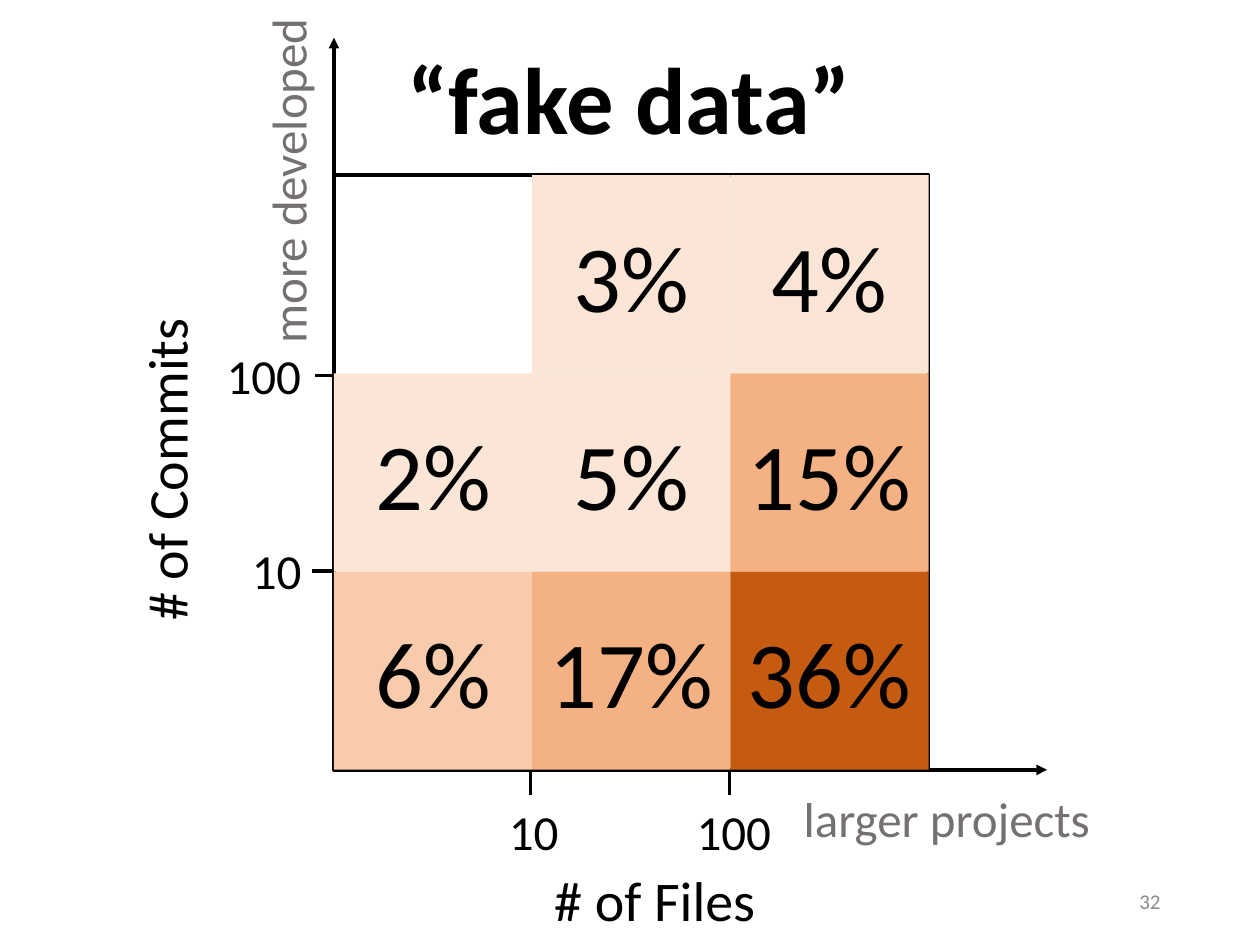
"""Build a slide with a three by three heat map of commits against files."""
from lxml import etree
from pptx import Presentation
from pptx.dml.color import RGBColor
from pptx.enum import shapes, text
from pptx.oxml import ns
from pptx.util import Inches, Pt

BLACK = RGBColor(0x00, 0x00, 0x00)
GRAY = RGBColor(0x76, 0x71, 0x71)
SILVER = RGBColor(0x8C, 0x8C, 0x8C)
PALE = RGBColor(0xFB, 0xE5, 0xD6)
LIGHT = RGBColor(0xF8, 0xCB, 0xAD)
MID = RGBColor(0xF4, 0xB1, 0x83)
DARK = RGBColor(0xC5, 0x5A, 0x11)

LEFT, TOP, SIDE = 2.65, 1.39, 4.72
CELL = SIDE / 3
BASE = TOP + SIDE

deck = Presentation()
deck.slide_width, deck.slide_height = Inches(10), Inches(7.5)
slide = deck.slides.add_slide(deck.slide_layouts[5])
items = slide.shapes


def write(shape, words, size, color=BLACK, align=text.PP_ALIGN.LEFT,
          anchor=text.MSO_ANCHOR.TOP, wrap=True):
    frame = shape.text_frame
    frame.text = words
    frame.word_wrap = wrap
    frame.auto_size = text.MSO_AUTO_SIZE.NONE
    frame.vertical_anchor = anchor
    para = frame.paragraphs[0]
    para.alignment = align
    para.font.name = "Calibri"
    para.font.size = Pt(size)
    para.font.color.rgb = color
    return para


def rule(x1, y1, x2, y2, arrow=False):
    line = items.add_connector(shapes.MSO_CONNECTOR.STRAIGHT,
                               Inches(x1), Inches(y1), Inches(x2), Inches(y2))
    line.line.color.rgb = BLACK
    line.line.width = Pt(2)
    if arrow:
        etree.SubElement(line.line._get_or_add_ln(), ns.qn("a:tailEnd"), type="triangle")
    etree.SubElement(line._element.spPr, ns.qn("a:effectLst"))


title = items.title
title.left, title.top = Inches(LEFT), Inches(0.27)
title.width, title.height = Inches(4.69), Inches(1.01)
write(title, "“fake data”", 54, align=text.PP_ALIGN.CENTER).font.bold = True

frame = items.add_shape(shapes.MSO_SHAPE.RECTANGLE, Inches(LEFT), Inches(TOP),
                        Inches(SIDE), Inches(SIDE))
frame.shadow.inherit = False
frame.fill.background()
frame.line.color.rgb = BLACK
frame.line.width = Pt(2)

for x in (4.21, 5.79):
    rule(x, BASE, x, BASE + 0.2)
for y, end in ((4.53, 2.48), (2.98, 2.5)):
    rule(LEFT, y, end, y)
rule(6.16, BASE, 8.31, BASE, True)
rule(LEFT, 2.48, LEFT, 0.3, True)

labels = [
    ("10", 3.94, 6.31, 0.6, 28, BLACK, 0),
    ("100", 5.43, 6.31, 0.8, 28, BLACK, 0),
    ("10", 1.9, 4.24, 0.6, 28, BLACK, 0),
    ("100", 1.7, 2.69, 0.8, 28, BLACK, 0),
    ("# of Files", 4.3, 6.82, 1.81, 32, BLACK, 0),
    ("# of Commits", 0, 3.39, 2.63, 32, BLACK, 270),
    ("larger projects", 6.28, 6.21, 3.85, 28, GRAY, 0),
    ("more developed", 0.89, 1.15, 2.78, 28, GRAY, 270),
]
for words, x, y, wide, size, color, turn in labels:
    box = items.add_textbox(Inches(x), Inches(y), Inches(wide),
                            Inches(0.64 if size == 32 else 0.57))
    box.rotation = turn
    write(box, words, size, color, wrap=words == "larger projects")

grid = [
    [None, ("3%", PALE), ("4%", PALE)],
    [("2%", PALE), ("5%", PALE), ("15%", MID)],
    [("6%", LIGHT), ("17%", MID), ("36%", DARK)],
]
for row, cells in enumerate(grid):
    for col, cell in enumerate(cells):
        if cell:
            share, color = cell
            tile = items.add_shape(shapes.MSO_SHAPE.RECTANGLE,
                                   Inches(LEFT + col * CELL), Inches(TOP + row * CELL),
                                   Inches(CELL), Inches(CELL))
            tile.shadow.inherit = False
            tile.fill.solid()
            tile.fill.fore_color.rgb = color
            tile.line.fill.background()
            write(tile, share, 54, align=text.PP_ALIGN.CENTER,
                  anchor=text.MSO_ANCHOR.MIDDLE)

page = items.add_textbox(Inches(7.06), Inches(6.95), Inches(2.25), Inches(0.4))
write(page, "32", 12, SILVER, text.PP_ALIGN.RIGHT, text.MSO_ANCHOR.MIDDLE)

deck.save("out.pptx")
